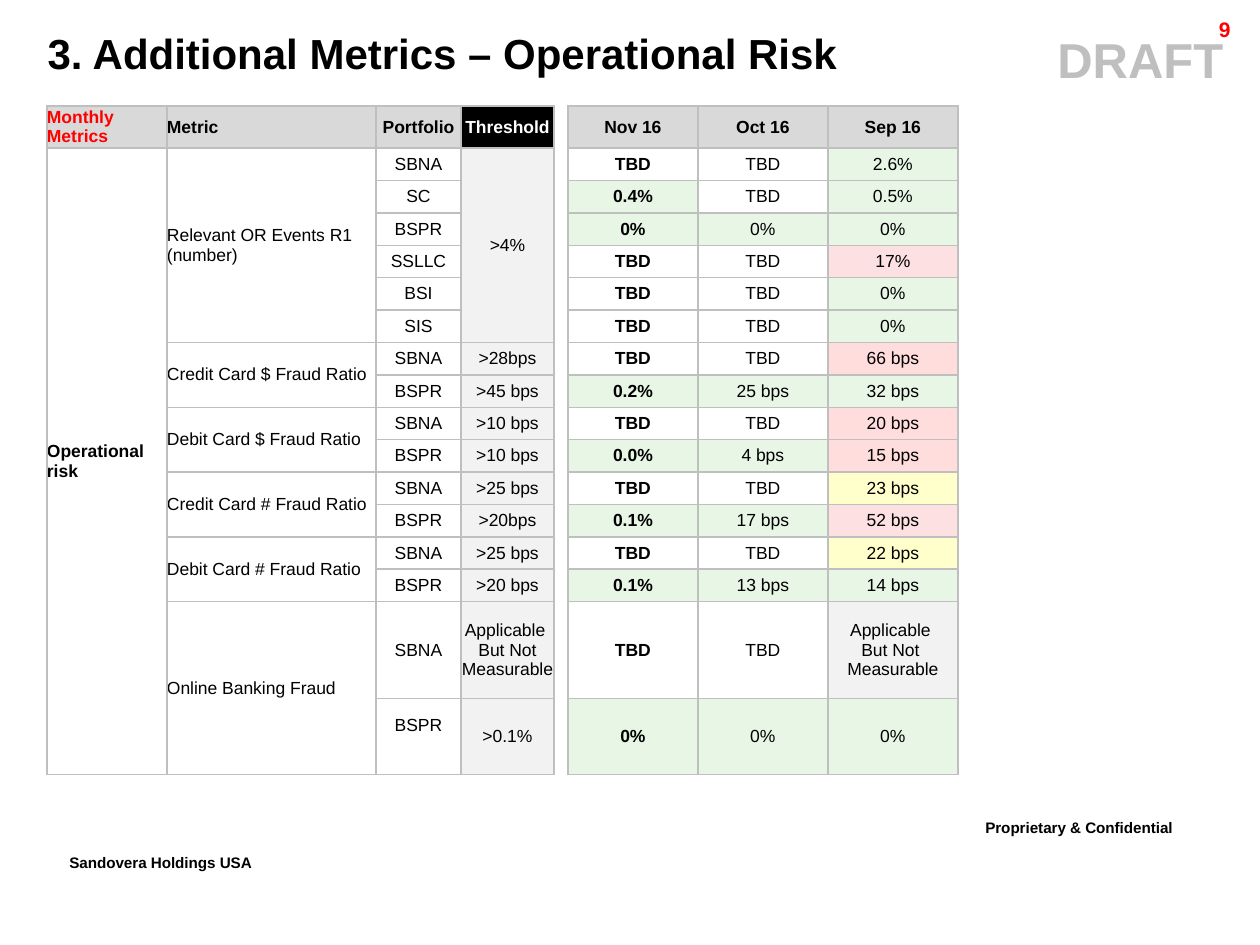
"""Build the operational risk metrics slide."""
from dataclasses import dataclass

from lxml import etree
from pptx import Presentation
from pptx import util as u
from pptx.dml.color import RGBColor
from pptx.enum import text as t
from pptx.oxml.ns import qn

PX = u.Inches(1) / 126
FONT = "Arial"
COLORS = {
    "black": "000000", "white": "FFFFFF", "red": "FF0000", "draft": "BFBFBF",
    "border": "BFBFBF", "header": "D9D9D9", "neutral": "F2F2F2",
    "good": "E8F6E6", "breach": "FFDDDD", "breach_soft": "FCE0E2", "warning": "FFFFCC",
}
LEFT, CENTER, RIGHT = t.PP_ALIGN.LEFT, t.PP_ALIGN.CENTER, t.PP_ALIGN.RIGHT
COLUMN_WIDTHS = [120, 209, 85, 93, 14, 130, 130, 130]
GAP_COLUMN, NOVEMBER_COLUMN = 4, 5
HEADER_HEIGHT, REGULAR_ROWS_HEIGHT, TALL_ROW_HEIGHTS = 42, 454, [97, 76]
HEADERS = ["Monthly Metrics", "Metric", "Portfolio", "Threshold", "", "Nov 16", "Oct 16", "Sep 16"]
HEADER_INKS = {"Monthly Metrics": "red", "Threshold": "white"}
HEADER_FILLS = {"Threshold": "black", "": ""}


@dataclass(frozen=True)
class Box:
    """Place and size in px."""
    left: int
    top: int
    width: int
    height: int


@dataclass(frozen=True)
class MetricRow:
    """One table row; an empty metric or threshold continues the cell above."""
    metric: str
    portfolio: str
    threshold: str
    november: str
    october: str
    september: str
    status: str


ROWS = [
    MetricRow("Relevant OR Events R1 (number)", "SBNA", ">4%", "TBD", "TBD", "2.6%", "good"),
    MetricRow("", "SC", "", "0.4%", "TBD", "0.5%", "good"),
    MetricRow("", "BSPR", "", "0%", "0%", "0%", "good"),
    MetricRow("", "SSLLC", "", "TBD", "TBD", "17%", "breach_soft"),
    MetricRow("", "BSI", "", "TBD", "TBD", "0%", "good"),
    MetricRow("", "SIS", "", "TBD", "TBD", "0%", "good"),
    MetricRow("Credit Card $ Fraud Ratio", "SBNA", ">28bps", "TBD", "TBD", "66 bps", "breach"),
    MetricRow("", "BSPR", ">45 bps", "0.2%", "25 bps", "32 bps", "good"),
    MetricRow("Debit Card $ Fraud Ratio", "SBNA", ">10 bps", "TBD", "TBD", "20 bps", "breach"),
    MetricRow("", "BSPR", ">10 bps", "0.0%", "4 bps", "15 bps", "breach"),
    MetricRow("Credit Card # Fraud Ratio", "SBNA", ">25 bps", "TBD", "TBD", "23 bps", "warning"),
    MetricRow("", "BSPR", ">20bps", "0.1%", "17 bps", "52 bps", "breach_soft"),
    MetricRow("Debit Card # Fraud Ratio", "SBNA", ">25 bps", "TBD", "TBD", "22 bps", "warning"),
    MetricRow("", "BSPR", ">20 bps", "0.1%", "13 bps", "14 bps", "good"),
    MetricRow("Online Banking Fraud", "SBNA", "Applicable \nBut Not Measurable", "TBD", "TBD",
              "Applicable \nBut Not \nMeasurable", "neutral"),
    MetricRow("", "BSPR", ">0.1%", "0%", "0%", "0%", "good"),
]


def px(value: float) -> int:
    """Turn px into EMU."""
    return round(value * PX)


def color(name: str) -> RGBColor:
    """Look up a named colour."""
    return RGBColor.from_string(COLORS[name])


def write(frame, content: str, *, size: int, ink: str = "black", bold: bool = True,
          align=LEFT, after: int = 0, spacing: float = 1.0, baseline: int = 0) -> None:
    """Write lines of text into a text frame as formatted paragraphs."""
    for index, line in enumerate(content.split("\n")):
        paragraph = frame.add_paragraph() if index else frame.paragraphs[0]
        paragraph.alignment = align
        paragraph.line_spacing = spacing
        paragraph.space_before = u.Pt(0)
        paragraph.space_after = u.Pt(after)
        if not line:
            etree.SubElement(paragraph._p, qn("a:endParaRPr"), sz=str(size * 100))
            continue
        run = paragraph.add_run()
        run.text = line
        run.font.name, run.font.size, run.font.bold = FONT, u.Pt(size), bold
        run.font.color.rgb = color(ink)
        if baseline:
            run._r.get_or_add_rPr().set("baseline", str(baseline * 1000))


def place(shape, box: Box) -> None:
    """Move and size a shape."""
    shape.left, shape.top = px(box.left), px(box.top)
    shape.width, shape.height = px(box.width), px(box.height)


def add_label(slide, content: str, box: Box, *, wrap: bool = True, indent: int = 0, **style) -> None:
    """Add a text box with one formatted text."""
    shape = slide.shapes.add_textbox(0, 0, 0, 0)
    place(shape, box)
    shape.text_frame.word_wrap = wrap
    if indent:
        shape.text_frame.margin_left = px(indent)
    write(shape.text_frame, content, **style)


def set_borders(cell, sides: str) -> None:
    """Draw the given sides of a cell and clear the others."""
    properties = cell._tc.get_or_add_tcPr()
    for index, side in enumerate("LRTB"):
        line = etree.Element(qn(f"a:ln{side}"), w=str(u.Pt(1)))
        if side in sides:
            solid = etree.SubElement(line, qn("a:solidFill"))
            etree.SubElement(solid, qn("a:srgbClr"), val=COLORS["border"])
        else:
            etree.SubElement(line, qn("a:noFill"))
        properties.insert(index, line)


def format_cell(table, row: int, column: int, content: str, fill: str, **style) -> None:
    """Format a table cell and write its text."""
    cell = table.cell(row, column)
    cell.margin_left = cell.margin_right = cell.margin_top = cell.margin_bottom = 0
    cell.vertical_anchor = t.MSO_ANCHOR.MIDDLE
    set_borders(cell, "LR" if column == GAP_COLUMN else "LRTB")
    if fill:
        cell.fill.solid()
        cell.fill.fore_color.rgb = color(fill)
    else:
        cell.fill.background()
    write(cell.text_frame, content, size=10, after=0 if "\n" in content else 2,
          align=LEFT if column < 2 else CENTER, **style)


def merge_down(table, column: int, labels: list[str]) -> None:
    """Merge each label's cell with the empty ones below it."""
    starts = [row for row, label in enumerate(labels, 1) if label]
    for start, following in zip(starts, starts[1:] + [len(labels) + 1]):
        if following - start > 1:
            table.cell(start, column).merge(table.cell(following - 1, column))


def add_metrics_table(slide, box: Box) -> None:
    """Add the table of metrics, thresholds and monthly values."""
    frame = slide.shapes.add_table(len(ROWS) + 1, len(COLUMN_WIDTHS),
                                   px(box.left), px(box.top), px(box.width), px(box.height))
    table = frame.table
    table.first_row = table.horz_banding = False
    regular = len(ROWS) - len(TALL_ROW_HEIGHTS)
    heights = [HEADER_HEIGHT] + [REGULAR_ROWS_HEIGHT / regular] * regular + TALL_ROW_HEIGHTS
    for column, width in zip(table.columns, COLUMN_WIDTHS):
        column.width = px(width)
    for row, height in zip(table.rows, heights):
        row.height = px(height)

    for column, header in enumerate(HEADERS):
        format_cell(table, 0, column, header, HEADER_FILLS.get(header, "header"),
                    ink=HEADER_INKS.get(header, "black"))

    areas = ["Operational risk"] + [""] * (len(ROWS) - 1)
    for number, (area, row) in enumerate(zip(areas, ROWS), 1):
        november, october = ["" if value == "TBD" else "good" for value in (row.november, row.october)]
        texts = [area, row.metric, row.portfolio, row.threshold, "",
                 row.november, row.october, row.september]
        fills = ["", "", "", "neutral", "", november, october, row.status]
        for column, (content, fill) in enumerate(zip(texts, fills)):
            format_cell(table, number, column, content, fill, bold=column in (0, NOVEMBER_COLUMN))
    table.cell(len(ROWS), 2).margin_bottom = px(22)
    merge_down(table, 0, areas)
    merge_down(table, 1, [row.metric for row in ROWS])
    merge_down(table, 3, [row.threshold for row in ROWS])


def main() -> None:
    """Build and save the presentation."""
    presentation = Presentation()
    presentation.slide_width, presentation.slide_height = px(1260), px(945)
    slide = presentation.slides.add_slide(presentation.slide_layouts[5])
    add_label(slide, "Proprietary & Confidential", Box(973, 809, 275, 44), size=15, baseline=30)
    add_label(slide, "Sandovera Holdings USA", Box(57, 844, 241, 44), wrap=False, size=15, baseline=30)
    add_label(slide, "DRAFT", Box(145, 23, 1108, 72), indent=895, size=28, ink="draft", align=CENTER)
    add_label(slide, "9", Box(1123, 14, 120, 30), size=12, ink="red", align=RIGHT, spacing=0.86)
    title = slide.shapes.title
    place(title, Box(35, 21, 1178, 63))
    title.text_frame.vertical_anchor = t.MSO_ANCHOR.TOP
    write(title.text_frame, "3. Additional Metrics – Operational Risk", size=24)
    add_metrics_table(slide, Box(47, 106, sum(COLUMN_WIDTHS), 669))
    presentation.save("out.pptx")


if __name__ == "__main__":
    main()
